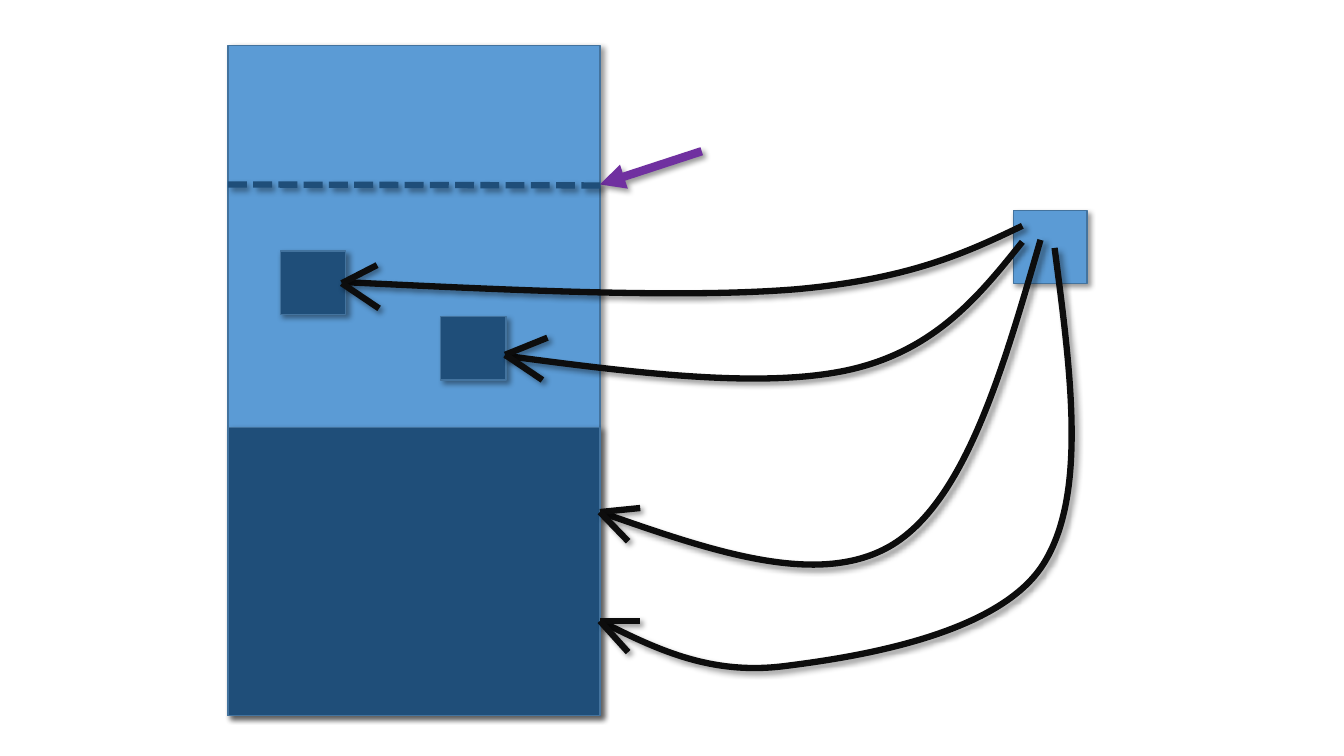
import pptx
import pptx.dml.color
import pptx.enum.dml
import pptx.enum.shapes
import pptx.oxml
import pptx.oxml.ns
import pptx.util
from pptx.util import Inches

LIGHT, DARK, EDGE = "5B9BD5", "1F4E79", "43739E"
INK, PURPLE = "0D0D0D", "7030A0"
NAMESPACE = pptx.oxml.ns.nsdecls("a")
SHADOW = (
    f'<a:effectLst {NAMESPACE}><a:outerShdw blurRad="50800" dist="38100" '
    'dir="2700000" algn="tl" rotWithShape="0"><a:srgbClr val="000000">'
    '<a:alpha val="40000"/></a:srgbClr></a:outerShdw></a:effectLst>'
)


def color(value):
    return pptx.dml.color.RGBColor.from_string(value)


class Diagram:
    """Holds the shared style and the slide being drawn."""

    def __init__(self, page):
        self.shapes = page.shapes

    def finish(self, shape, line, width):
        """Outline first, then the shadow every element shares."""
        shape.line.color.rgb = color(line)
        shape.line.width = pptx.util.Pt(width)
        shape._element.spPr.append(pptx.oxml.parse_xml(SHADOW))

    def box(self, left, top, width, height, fill):
        box = self.shapes.add_shape(
            pptx.enum.shapes.MSO_SHAPE.RECTANGLE,
            Inches(left), Inches(top), Inches(width), Inches(height))
        box.fill.solid()
        box.fill.fore_color.rgb = color(fill)
        self.finish(box, EDGE, 1)

    def line(self, start, end, line=INK, width=4.5, dash=None, arrow=False):
        connector = self.shapes.add_connector(
            pptx.enum.shapes.MSO_CONNECTOR.STRAIGHT,
            *(Inches(value) for value in (*start, *end)))
        self.finish(connector, line, width)
        if dash:
            connector.line.dash_style = dash
        if arrow:
            connector.line._get_or_add_ln().append(
                pptx.oxml.parse_xml(f'<a:tailEnd {NAMESPACE} type="triangle"/>'))

    def curve(self, start, *points):
        """Draw cubic segments; points come in threes: two controls, one end."""
        builder = self.shapes.build_freeform(Inches(start[0]), Inches(start[1]))
        builder.add_line_segments(
            [(Inches(x), Inches(y)) for x, y in points], close=False)
        curve = builder.convert_to_shape()
        steps = curve._element.findall(".//" + pptx.oxml.ns.qn("a:lnTo"))
        for first in range(0, len(steps), 3):
            cubic = pptx.oxml.parse_xml(f"<a:cubicBezTo {NAMESPACE}/>")
            steps[first].addprevious(cubic)
            for step in steps[first:first + 3]:
                cubic.append(step[0])
                step.getparent().remove(step)
        curve.fill.background()
        self.finish(curve, INK, 4.5)

    def open_head(self, tip, *barbs):
        for barb in barbs:
            self.line(tip, barb)


def main():
    deck = pptx.Presentation()
    deck.slide_width, deck.slide_height = Inches(13.33), Inches(7.5)
    diagram = Diagram(deck.slides.add_slide(deck.slide_layouts[6]))

    # Source box, tall column and the marker of its threshold
    diagram.box(10.05, 2.09, 0.73, 0.72, LIGHT)
    diagram.box(2.26, 0.45, 3.69, 6.65, LIGHT)
    diagram.line((6.96, 1.5), (5.95, 1.83), PURPLE, 6, arrow=True)

    # Curves to the filled lower part
    diagram.curve((10.32, 2.38), (9.95, 3.66), (9.58, 4.95), (8.86, 5.4),
                  (8.13, 5.85), (7.04, 5.46), (5.95, 5.08))
    diagram.curve((10.46, 2.46), (10.62, 3.69), (10.79, 4.92), (10.34, 5.61),
                  (9.89, 6.3), (8.5, 6.52), (7.77, 6.61),
                  (7.03, 6.7), (6.49, 6.43), (5.95, 6.16))
    diagram.box(2.26, 4.24, 3.69, 2.86, DARK)
    diagram.open_head((5.95, 5.08), (6.35, 5.04), (6.23, 5.37))
    diagram.open_head((5.95, 6.16), (6.35, 6.16), (6.23, 6.47))

    # Dashed threshold and the two small blocks
    diagram.line((2.26, 1.83), (5.95, 1.84), DARK,
                 dash=pptx.enum.dml.MSO_LINE.SQUARE_DOT)
    for left, top in ((2.78, 2.49), (4.37, 3.14)):
        diagram.box(left, top, 0.65, 0.63, DARK)

    # Curves to the small blocks
    diagram.curve((10.14, 2.4), (9.71, 2.94), (9.27, 3.48), (8.42, 3.67),
                  (7.56, 3.86), (6.29, 3.7), (5.01, 3.53))
    diagram.curve((10.14, 2.24), (9.58, 2.51), (9.01, 2.77), (7.89, 2.87),
                  (6.77, 2.96), (5.1, 2.88), (3.44, 2.8))
    diagram.open_head((5.01, 3.52), (5.43, 3.35), (5.38, 3.77))
    diagram.open_head((3.39, 2.81), (3.74, 2.63), (3.76, 3.06))

    deck.save("out.pptx")


if __name__ == "__main__":
    main()
